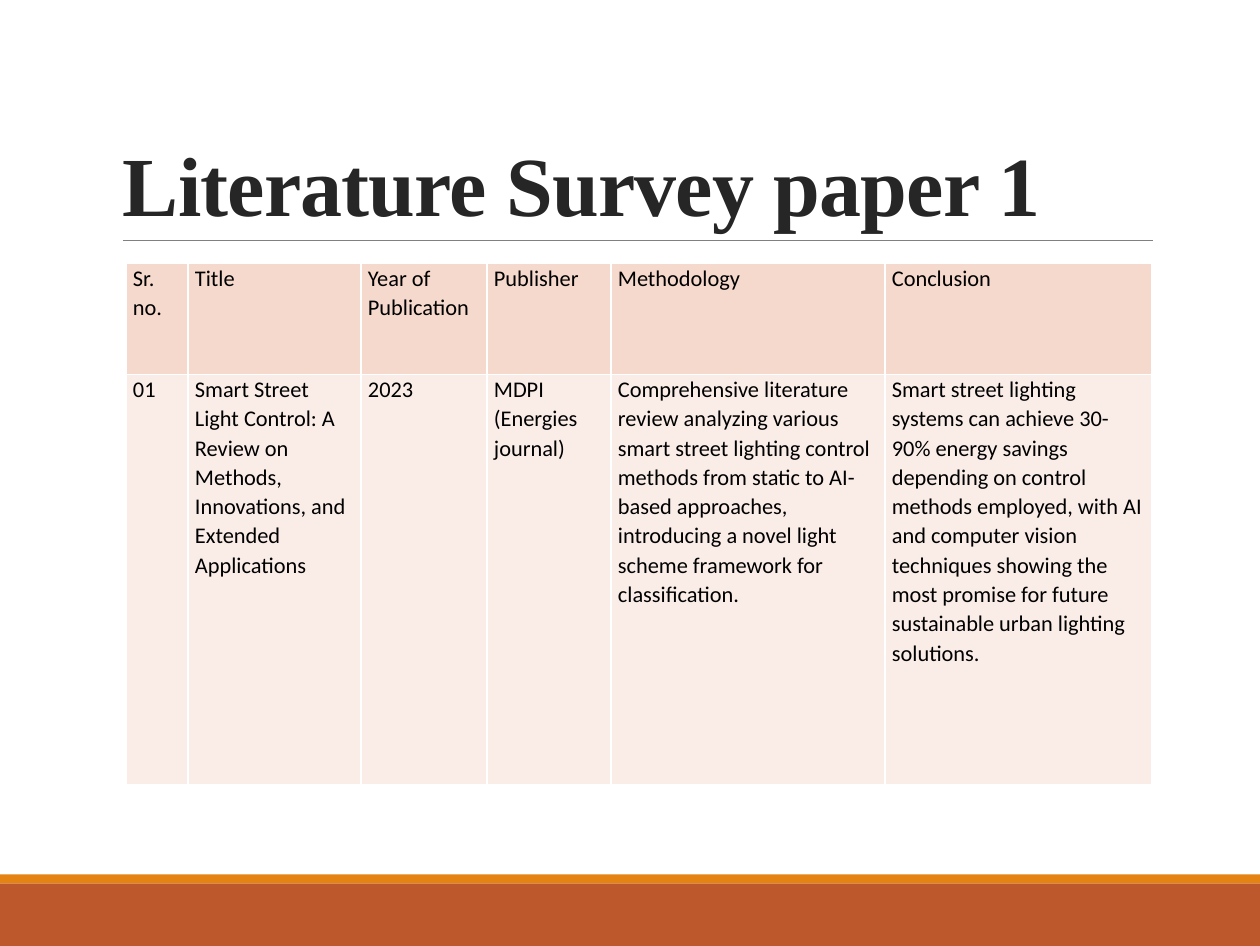
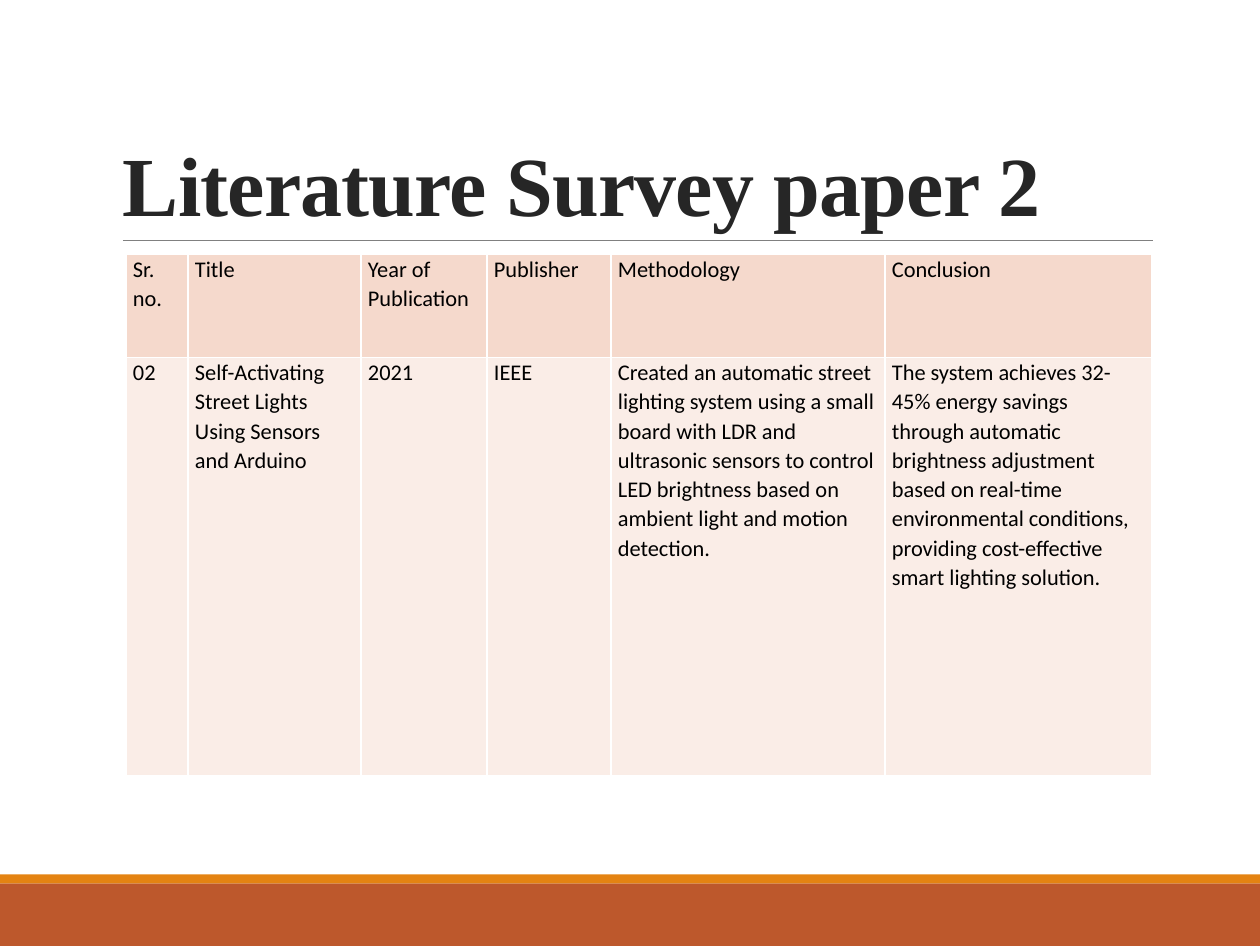
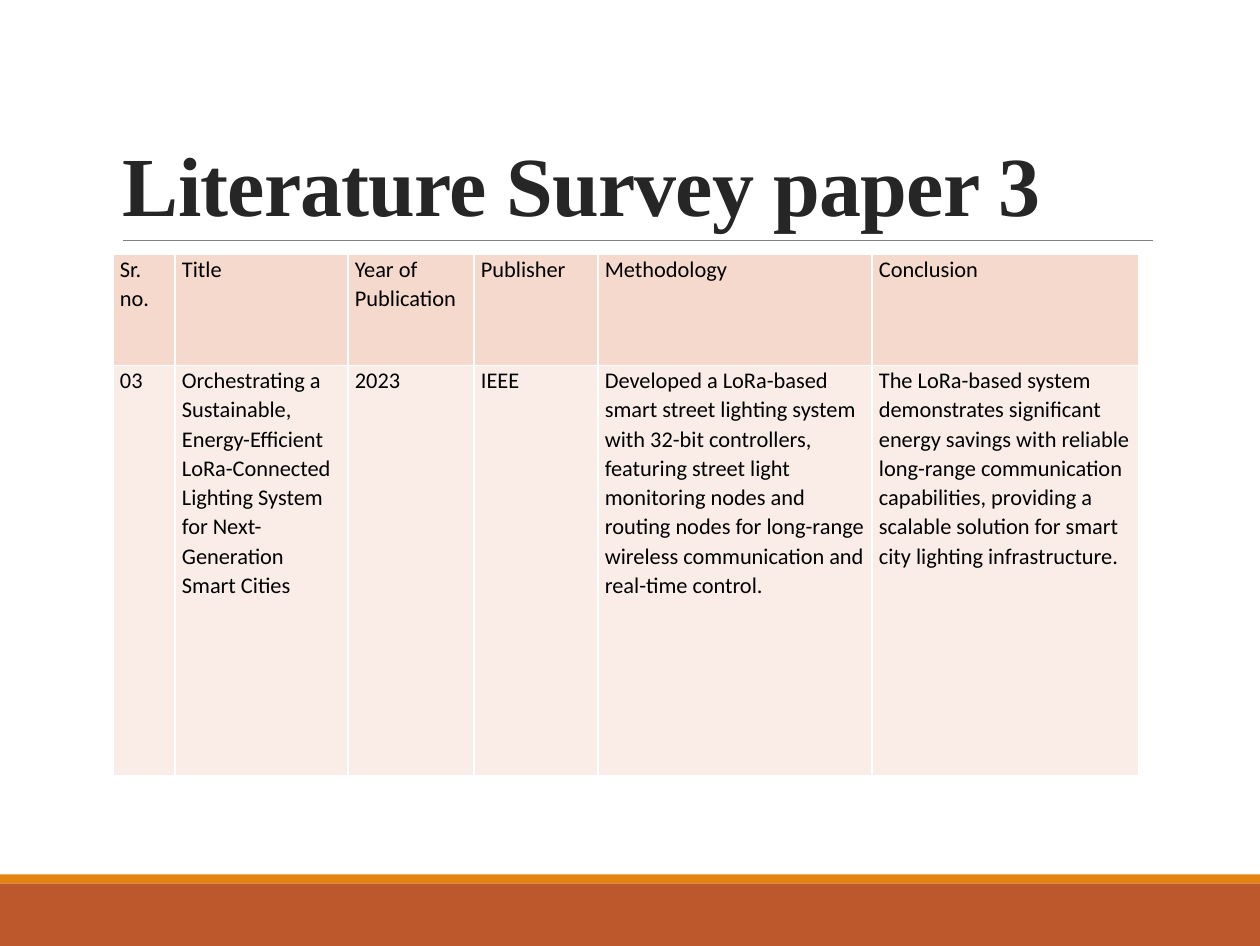
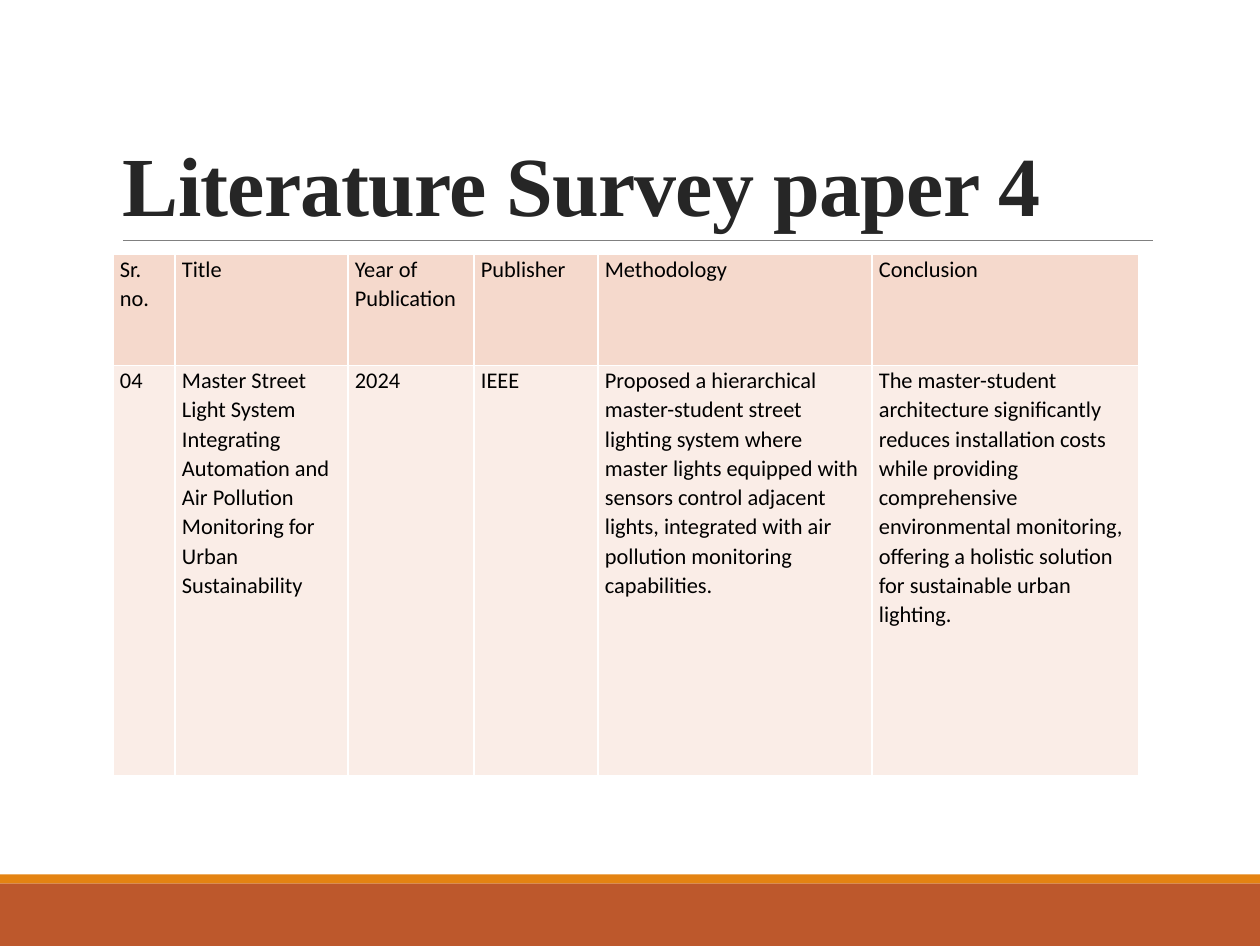
from lxml.etree import SubElement
from pptx import Presentation
from pptx.dml.color import RGBColor
from pptx.enum.shapes import MSO_CONNECTOR as CONN, MSO_SHAPE as SHAPE
from pptx.enum.text import MSO_ANCHOR as ANCHOR
from pptx.oxml.ns import qn
from pptx.util import Inches, Pt

SCALE = 914400 / 100.8
WIDTH = 1260
BANDS = [(883, 63, "BD582C"), (874, 9, "E48312")]
RULE_COLOR, TITLE_COLOR, TEXT_COLOR, BORDER = "808080", "262626", "000000", "FFFFFF"
ROW_FILLS = ["F5D9CC", "FAEDE7"]
COLS = [62, 173, 126, 124, 274, 267]
TABLE_HEIGHT = 521
TITLE_FONT = {"name": "Times New Roman", "size": Pt(60), "bold": True}
CELL_FONT = {"name": "Calibri", "size": Pt(16), "bold": False}
TITLE_PARA = {"line_spacing": 0.85}
CELL_PARA = {"line_spacing": 1.07, "space_after": Pt(8)}
HEADER = ["Sr. no.", "Title", "Year of Publication", "Publisher", "Methodology", "Conclusion"]

PAPERS = [
    (126, 263, 111, [
        "01",
        "Smart Street Light Control: A Review on Methods, Innovations, and Extended Applications",
        "2023",
        "MDPI (Energies journal)",
        "Comprehensive literature review analyzing various smart street lighting control methods "
        "from static to AI-based approaches, introducing a novel light scheme framework for "
        "classification.",
        "Smart street lighting systems can achieve 30-90% energy savings depending on control "
        "methods employed, with AI and computer vision techniques showing the most promise for "
        "future sustainable urban lighting solutions.",
    ]),
    (126, 254, 103, [
        "02",
        "Self-Activating Street Lights Using Sensors and Arduino",
        "2021",
        "IEEE",
        "Created an automatic street lighting system using a small board with LDR and ultrasonic "
        "sensors to control LED brightness based on ambient light and motion detection.",
        "The system achieves 32-45% energy savings through automatic brightness adjustment based "
        "on real-time environmental conditions, providing cost-effective smart lighting solution.",
    ]),
    (113, 254, 111, [
        "03",
        "Orchestrating a Sustainable, Energy-Efficient LoRa-Connected Lighting System for "
        "Next-Generation Smart Cities",
        "2023",
        "IEEE",
        "Developed a LoRa-based smart street lighting system with 32-bit controllers, featuring "
        "street light monitoring nodes and routing nodes for long-range wireless communication "
        "and real-time control.",
        "The LoRa-based system demonstrates significant energy savings with reliable long-range "
        "communication capabilities, providing a scalable solution for smart city lighting "
        "infrastructure.",
    ]),
    (113, 254, 111, [
        "04",
        "Master Street Light System Integrating Automation and Air Pollution Monitoring for "
        "Urban Sustainability",
        "2024",
        "IEEE",
        "Proposed a hierarchical master-student street lighting system where master lights "
        "equipped with sensors control adjacent lights, integrated with air pollution monitoring "
        "capabilities.",
        "The master-student architecture significantly reduces installation costs while providing "
        "comprehensive environmental monitoring, offering a holistic solution for sustainable "
        "urban lighting.",
    ]),
]


def px(*values):
    return [round(v * SCALE) for v in values]


def rgb(color):
    return RGBColor.from_string(color)


prs = Presentation()
prs.slide_width, prs.slide_height = Inches(12.5), Inches(9.38)

for number, (left, top, header_height, paper) in enumerate(PAPERS, 1):
    s = prs.slides.add_slide(prs.slide_layouts[6])
    texts = []

    for y, h, color in BANDS:
        sp = s.shapes.add_shape(SHAPE.RECTANGLE, *px(0, y, WIDTH, h))
        sp.shadow.inherit = False
        sp.fill.solid()
        sp.fill.fore_color.rgb = rgb(color)
        sp.line.fill.background()

    rule = s.shapes.add_connector(CONN.STRAIGHT, *px(123, 240, 1153, 240))
    rule.line.color.rgb = rgb(RULE_COLOR)
    rule.line.width = Pt(0.5)
    SubElement(rule._element.spPr, qn("a:effectLst"))

    tf = s.shapes.add_textbox(*px(113, 39, 1039, 200)).text_frame
    tf.word_wrap = True
    tf.vertical_anchor = ANCHOR.BOTTOM
    texts.append((tf.paragraphs[0], f"Literature Survey paper {number}",
                  TITLE_PARA, TITLE_FONT, TITLE_COLOR, -60))

    row_heights = [header_height, TABLE_HEIGHT - header_height]
    tbl = s.shapes.add_table(2, len(COLS), *px(left, top, sum(COLS), TABLE_HEIGHT)).table
    tbl.first_row = tbl.horz_banding = False
    for col, width in zip(tbl.columns, px(*COLS)):
        col.width = width
    for row, height, fill, values in zip(tbl.rows, px(*row_heights), ROW_FILLS, [HEADER, paper]):
        row.height = height
        for cell, value in zip(row.cells, values):
            cell.margin_left, cell.margin_right, cell.margin_top, cell.margin_bottom = px(7, 7, 0, 0)
            tcPr = cell._tc.get_or_add_tcPr()
            for side in ("lnL", "lnR", "lnT", "lnB"):
                ln = SubElement(tcPr, qn(f"a:{side}"), w=str(Pt(1)))
                SubElement(SubElement(ln, qn("a:solidFill")), qn("a:srgbClr"), val=BORDER)
            cell.fill.solid()
            cell.fill.fore_color.rgb = rgb(fill)
            texts.append((cell.text_frame.paragraphs[0], value,
                          CELL_PARA, CELL_FONT, TEXT_COLOR, 0))

    for p, text, para, font, color, spacing in texts:
        r = p.add_run()
        r.text = text
        for target, values in ((p, para), (r.font, font)):
            for name, value in values.items():
                setattr(target, name, value)
        r.font.color.rgb = rgb(color)
        if spacing:
            r._r.get_or_add_rPr().set("spc", str(spacing))

prs.save("out.pptx")
